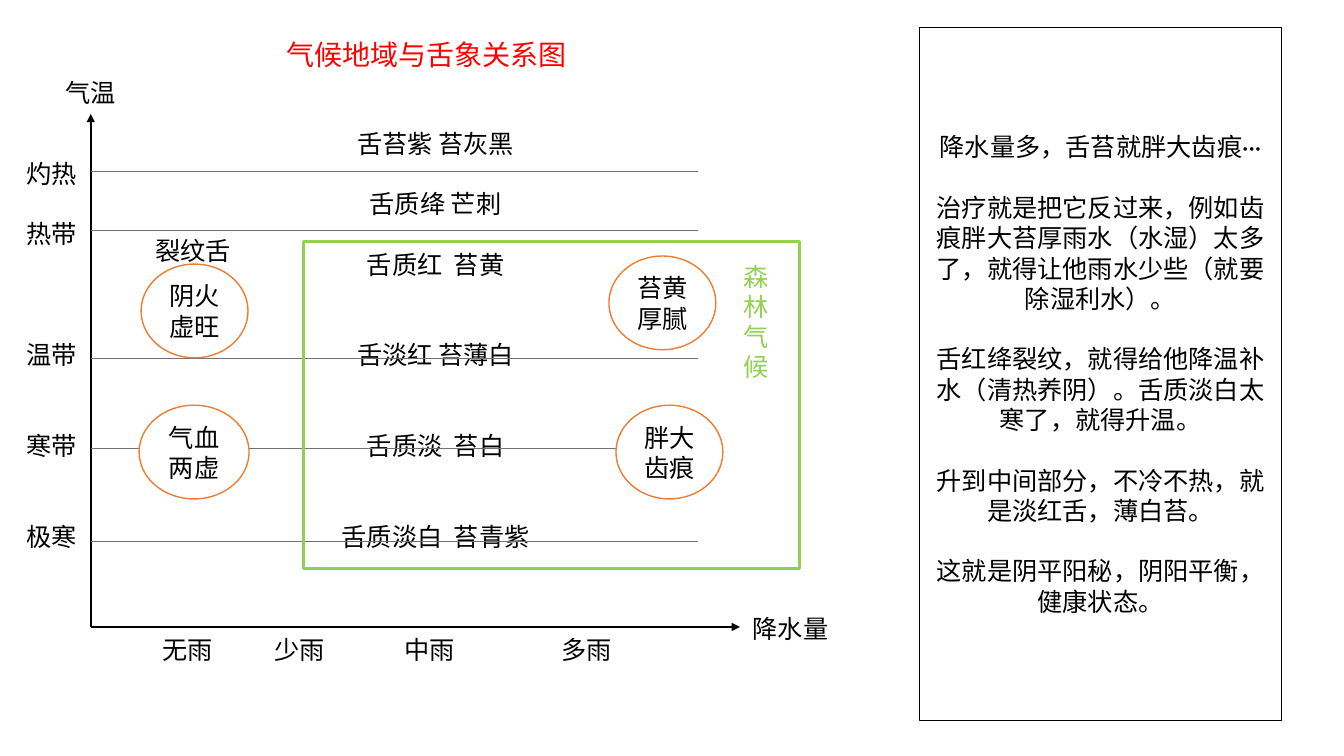
from dataclasses import dataclass

from lxml import etree
from pptx import Presentation
from pptx.dml.color import RGBColor
from pptx.enum.shapes import MSO_CONNECTOR, MSO_SHAPE
from pptx.enum.text import MSO_ANCHOR, MSO_AUTO_SIZE, PP_ALIGN
from pptx.oxml.ns import qn
from pptx.util import Inches, Pt

STRAIGHT = MSO_CONNECTOR.STRAIGHT
OVAL, RECTANGLE = MSO_SHAPE.OVAL, MSO_SHAPE.RECTANGLE
TOP, MIDDLE = MSO_ANCHOR.TOP, MSO_ANCHOR.MIDDLE
LEFT, CENTER = PP_ALIGN.LEFT, PP_ALIGN.CENTER
NO_RESIZE = MSO_AUTO_SIZE.NONE


@dataclass(frozen=True)
class Theme:
    font: str = "Calibri"
    text: str = "000000"
    title: str = "FF0000"
    paper: str = "FFFFFF"
    grid: str = "767171"
    oval: str = "ED7D31"
    forest: str = "92D050"
    body_size: float = 18
    title_size: float = 20
    paragraph_gap: float = 21.7


class Page:
    """One slide together with the style of its elements."""

    def __init__(self, deck, theme):
        self.theme = theme
        self.slide = deck.slides.add_slide(deck.slide_layouts[1])

    def place(self, shape, left, top, width, height):
        shape.left, shape.top = Inches(left), Inches(top)
        shape.width, shape.height = Inches(width), Inches(height)

    def outline(self, shape, color, width):
        shape.line.color.rgb = RGBColor.from_string(color)
        shape.line.width = Pt(width)

    def set_text(self, shape, text, color=None, size=None, align=CENTER, anchor=MIDDLE):
        frame = shape.text_frame
        frame.text = text
        frame.word_wrap = True
        frame.auto_size = NO_RESIZE
        frame.vertical_anchor = anchor
        for para in frame.paragraphs:
            para.alignment = align
            para.space_before = Pt(0)
            for span in para.runs:
                span.font.name = self.theme.font
                span.font.size = Pt(size or self.theme.body_size)
                span.font.color.rgb = RGBColor.from_string(color or self.theme.text)

    def title(self, text, *area):
        shape = self.slide.shapes.title
        self.place(shape, *area)
        self.set_text(shape, text, self.theme.title, self.theme.title_size, LEFT, TOP)

    def panel(self, paragraphs, *area):
        shape = self.slide.placeholders[1]
        self.place(shape, *area)
        self.outline(shape, self.theme.text, 1)
        self.set_text(shape, "\n".join(paragraphs))
        for index, para in enumerate(shape.text_frame.paragraphs):
            if index:
                para.space_before = Pt(self.theme.paragraph_gap)
            properties = para._p.get_or_add_pPr()
            properties.set("marL", "0")
            properties.set("indent", "0")
            etree.SubElement(properties, qn("a:buNone"))

    def text(self, text, left, top, width, height, **style):
        box = self.slide.shapes.add_textbox(
            Inches(left), Inches(top), Inches(width), Inches(height))
        self.set_text(box, text, **style)

    def label(self, text, center_x, center_y, width=1.0, height=0.4):
        self.text(text, center_x - width / 2, center_y - height / 2, width, height)

    def shape(self, kind, color, width, *area, fill=None):
        shape = self.slide.shapes.add_shape(kind, *map(Inches, area))
        shape.shadow.inherit = False
        if fill:
            shape.fill.solid()
            shape.fill.fore_color.rgb = RGBColor.from_string(fill)
        else:
            shape.fill.background()
        self.outline(shape, color, width)
        return shape

    def oval(self, text, *area):
        shape = self.shape(OVAL, self.theme.oval, 1, *area, fill=self.theme.paper)
        self.set_text(shape, text)

    def line(self, start, end, color, width, arrow=False):
        line = self.slide.shapes.add_connector(STRAIGHT, *map(Inches, start + end))
        self.outline(line, color, width)
        if arrow:
            etree.SubElement(line.line._get_or_add_ln(), qn("a:tailEnd"), type="triangle")
        etree.SubElement(line._element.spPr, qn("a:effectLst"))


deck = Presentation()
deck.slide_width, deck.slide_height = Inches(13.33), Inches(7.5)
theme = Theme()
page = Page(deck, theme)

# Title and explanation
page.title("气候地域与舌象关系图", 2.74, 0.32, 3.1, 0.74)
page.panel([
    "降水量多，舌苔就胖大齿痕···",
    "治疗就是把它反过来，例如齿痕胖大苔厚雨水（水湿）太多了，就得让他雨水少些（就要除湿利水）。",
    "舌红绛裂纹，就得给他降温补水（清热养阴）。舌质淡白太寒了，就得升温。",
    "升到中间部分，不冷不热，就是淡红舌，薄白苔。",
    "这就是阴平阳秘，阴阳平衡，健康状态。",
], 9.12, 0.27, 3.59, 6.88)

# Axes
origin = (0.9, 6.22)
for end in [(0.9, 1.13), (7.34, 6.22)]:
    page.line(origin, end, theme.text, 1.5, arrow=True)
page.label("气温", 0.9, 0.92)
page.label("降水量", 7.84, 6.23, width=1.2)

# Axis categories and tongue signs share one row pitch
FIRST_ROW, ROW_PITCH = 1.72, 0.3
zones = {"灼热": 0, "热带": 2, "温带": 6, "寒带": 9, "极寒": 12}
signs = {"舌苔紫 苔灰黑": -1, "舌质绛 芒刺": 1, "舌质红  苔黄": 3,
         "舌淡红 苔薄白": 6, "舌质淡  苔白": 9, "舌质淡白  苔青紫": 12}
for labels, center_x, width in [(zones, 0.51, 0.8), (signs, 4.32, 2.6)]:
    for text, row in labels.items():
        page.label(text, center_x, FIRST_ROW + row * ROW_PITCH, width)
for text, center_x in {"无雨": 1.86, "少雨": 2.97, "中雨": 4.26, "多雨": 5.82}.items():
    page.label(text, center_x, 6.44)

# Temperature grid
for y in (1.7, 2.29, 3.56, 4.45, 5.37):
    page.line((0.9, y), (6.92, y), theme.grid, 0.5)

# Typical conditions
page.oval("阴火虚旺", 1.4, 2.62, 1.06, 0.93)
page.oval("苔黄厚腻", 6.04, 2.54, 1.06, 0.93)
page.oval("气血两虚", 1.38, 4.02, 1.09, 0.93)
page.oval("胖大齿痕", 6.11, 4.02, 1.06, 0.93)
page.text("裂纹舌", 1.44, 2.29, 1.2, 0.4, align=LEFT, anchor=TOP)

# Forest climate region
page.shape(RECTANGLE, theme.forest, 2.25, 3.01, 2.4, 4.92, 3.24)
page.text("森林气候", 7.28, 2.54, 0.46, 1.31, color=theme.forest, align=LEFT, anchor=TOP)

deck.save("out.pptx")
